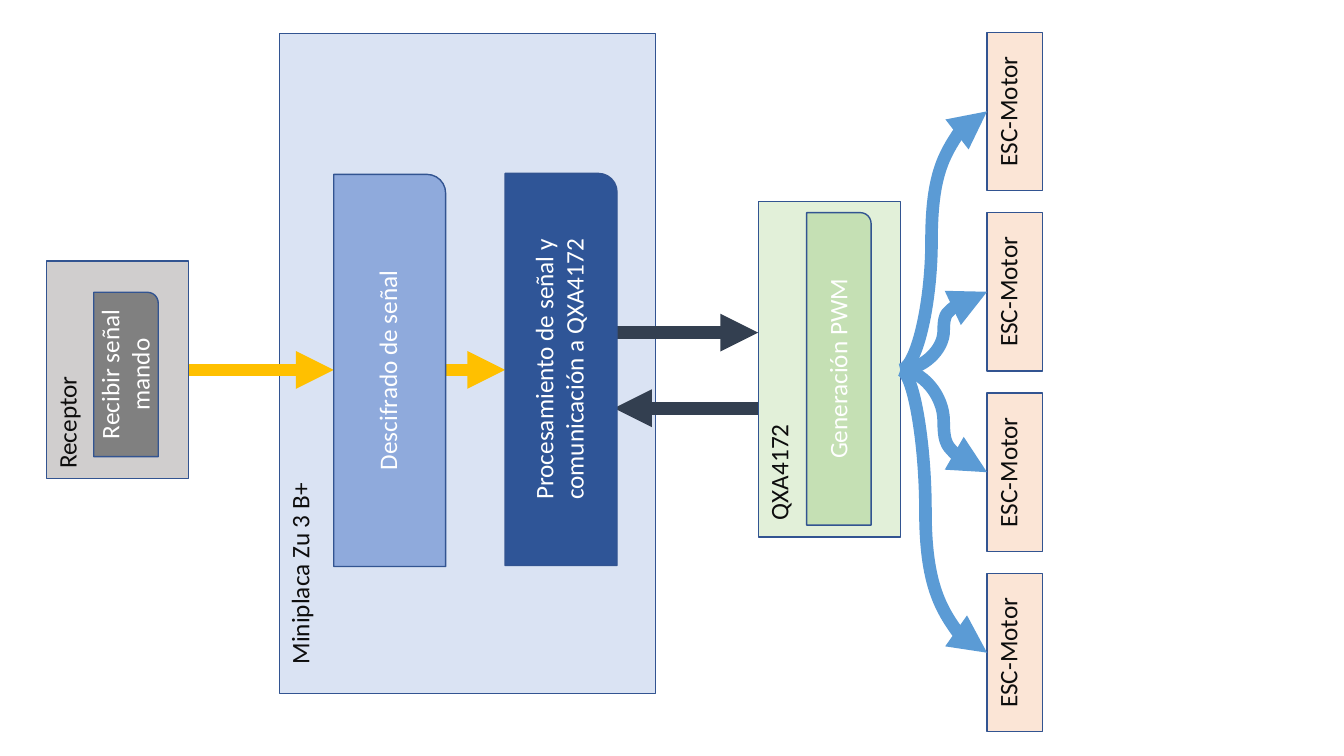
"""Build the signal-flow diagram from receiver to motor controllers."""
from lxml.etree import SubElement
from pptx import Presentation
from pptx.dml.color import RGBColor
from pptx.enum.shapes import MSO_CONNECTOR, MSO_SHAPE
from pptx.enum.text import MSO_ANCHOR, PP_ALIGN
from pptx.oxml.ns import qn
from pptx.util import Inches, Pt


def add_block(kind, text, box, fill, color, anchor, align, indent=0):
    block = slide.shapes.add_shape(kind, *[Inches(n) for n in box])
    block.shadow.inherit = False
    block.fill.solid()
    block.fill.fore_color.rgb = RGBColor.from_string(fill)
    block.line.color.rgb = RGBColor.from_string("325491")
    block.line.width = Pt(1)
    frame = block.text_frame
    frame.word_wrap = True
    frame.vertical_anchor = anchor
    frame._txBody.bodyPr.set("vert", "vert270")
    paragraph = frame.paragraphs[0]
    paragraph.text = text
    paragraph.alignment = align
    paragraph.font.name = "Calibri"
    paragraph.font.size = Pt(18)
    paragraph.font.color.rgb = RGBColor.from_string(color)
    if indent:
        paragraph._p.get_or_add_pPr().set("marL", str(Inches(indent)))


def add_arrow(kind, start, end, color, bend=None):
    arrow = slide.shapes.add_connector(kind, *[Inches(n) for n in (*start, *end)])
    arrow.line.color.rgb = RGBColor.from_string(color)
    arrow.line.width = Pt(9)
    SubElement(arrow.line._get_or_add_ln(), qn("a:tailEnd"), type="triangle")
    properties = arrow._element.spPr
    SubElement(properties, qn("a:effectLst"))
    if bend:
        guides = properties.find(qn("a:prstGeom")).find(qn("a:avLst"))
        SubElement(guides, qn("a:gd"), name="adj1", fmla=f"val {round(bend * 100000)}")


prs = Presentation()
prs.slide_width, prs.slide_height = Inches(13.33), Inches(7.5)
slide = prs.slides.add_slide(prs.slide_layouts[6])

devices = [
    ("Receptor", (0.46, 2.59, 1.41, 2.16), "D0CECE", 0),
    ("Miniplaca Zu 3 B+", (2.77, 0.33, 3.73, 6.55), "DAE3F3", 0.19),
    ("QXA4172", (7.52, 2, 1.41, 3.33), "E2F0D9", 0.07),
]
for label, box, fill, indent in devices:
    add_block(MSO_SHAPE.RECTANGLE, label, box, fill, "0D0D0D",
              MSO_ANCHOR.TOP, PP_ALIGN.LEFT, indent)

axis = 3.67
motor_left, motor_width, motor_height, motor_pitch = 9.79, 0.55, 1.57, 1.79
for index, bend in enumerate([0.36, 0.5, 0.5, 0.29]):
    motor_top = 0.32 + index * motor_pitch
    add_block(MSO_SHAPE.RECTANGLE, "ESC-Motor",
              (motor_left, motor_top, motor_width, motor_height),
              "FBE5D6", "0D0D0D", MSO_ANCHOR.TOP, PP_ALIGN.CENTER)
    add_arrow(MSO_CONNECTOR.CURVE, (8.93, axis),
              (motor_left, motor_top + motor_height / 2), "5B9BD5", bend)

signals = [
    ((1.87, axis), (3.31, axis), "FFC000"),
    ((4.42, axis), (5.01, axis), "FFC000"),
    ((6.09, 3.3), (7.52, 3.3), "333F50"),
    ((7.52, 4.05), (6.09, 4.05), "333F50"),
]
for start, end, color in signals:
    add_arrow(MSO_CONNECTOR.STRAIGHT, start, end, color)

tasks = [
    ("Recibir señal mando", (0.93, 2.9, 0.64, 1.63), "808080"),
    ("Descifrado de señal", (3.31, 1.73, 1.11, 3.89), "8FAADC"),
    ("Procesamiento de señal y comunicación a QXA4172", (5.01, 1.72, 1.11, 3.89), "2F5597"),
    ("Generación PWM", (8, 2.11, 0.64, 3.1), "C5E0B4"),
]
for label, box, fill in tasks:
    add_block(MSO_SHAPE.ROUND_1_RECTANGLE, label, box, fill, "FFFFFF",
              MSO_ANCHOR.MIDDLE, PP_ALIGN.CENTER)

prs.save("out.pptx")
